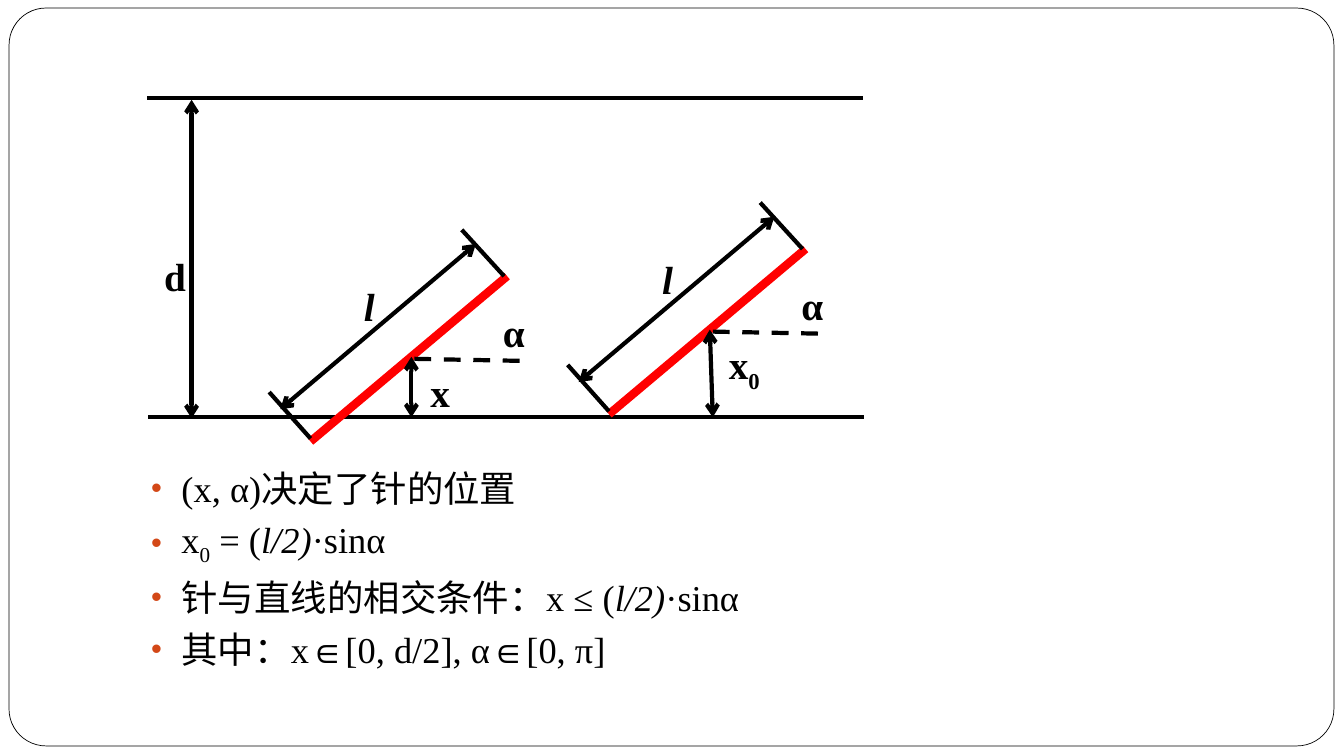
from dataclasses import dataclass

from lxml import etree
from pptx import Presentation
from pptx.dml.color import RGBColor
from pptx.enum.dml import MSO_LINE
from pptx.enum.shapes import MSO_CONNECTOR, MSO_SHAPE
from pptx.enum.text import MSO_AUTO_SIZE
from pptx.oxml.ns import qn
from pptx.util import Pt

PX = 9144  # EMU in one px, 100 px to the inch
DASH = MSO_LINE.DASH
STRAIGHT = MSO_CONNECTOR.STRAIGHT
ROUND = MSO_SHAPE.ROUNDED_RECTANGLE
FIXED = MSO_AUTO_SIZE.NONE
FLOOR = 414
BULLETS = [
    [("(x, α)决定了针的位置", "")],
    [("x", ""), ("0", "sub"), (" = (", ""), ("l/2)", "i"), ("·sinα", "")],
    [("针与直线的相交条件：x ≤ (", ""), ("l/2)", "i"), ("·sinα", "")],
    [("其中：x∈[0, d/2], α∈[0, π]", "")],
]


@dataclass(frozen=True)
class Theme:
    font: str = "Times New Roman"
    ink: RGBColor = RGBColor(0, 0, 0)
    paper: RGBColor = RGBColor(255, 255, 255)
    red: RGBColor = RGBColor(255, 0, 0)
    dot: str = "D34817"
    body: int = 26
    label: int = 28
    thin: float = 0.5
    line: int = 3
    thick: int = 6


class Board:
    def __init__(self, slide, theme):
        self.slide = slide
        self.shapes = slide.shapes
        self.theme = theme

    def frame(self, x, y, w, h):
        card = self.shapes.add_shape(ROUND, x * PX, y * PX, w * PX, h * PX)
        card.adjustments[0] = 0.05
        card.shadow.inherit = False
        card.fill.solid()
        card.fill.fore_color.rgb = self.theme.paper
        card.line.color.rgb = self.theme.ink
        card.line.width = Pt(self.theme.thin)
        self.shapes._spTree.insert(2, card._element)  # behind the text

    def line(self, start, end, color=None, width=None, dash=None, arrows=False):
        ends = [n * PX for n in (*start, *end)]
        item = self.shapes.add_connector(STRAIGHT, *ends)
        item.line.color.rgb = color or self.theme.ink
        item.line.width = Pt(width or self.theme.line)
        if dash:
            item.line.dash_style = dash
        props = item._element.spPr
        if arrows:
            for tag in ("a:headEnd", "a:tailEnd"):
                etree.SubElement(props.find(qn("a:ln")), qn(tag), type="arrow")
        etree.SubElement(props, qn("a:effectLst"))

    def fill(self, para, runs, size, bold=False):
        """Fill a paragraph from (text, mark) pairs; marks are i and sub."""
        font = para.font
        font.name, font.size, font.bold = self.theme.font, Pt(size), bold
        font.color.rgb = self.theme.ink
        for text, mark in runs:
            run = para.add_run()
            run.text = text
            if mark == "i":
                run.font.italic = True
            elif mark == "sub":
                run._r.get_or_add_rPr().set("baseline", "-25000")

    def label(self, x, y, *runs):
        box = self.shapes.add_textbox(x * PX, y * PX, 54 * PX, 57 * PX)
        box.text_frame.word_wrap = True
        self.fill(box.text_frame.paragraphs[0], runs, self.theme.label, True)

    def bullet(self, para):
        props = para._p.get_or_add_pPr()
        props.set("marL", str(30 * PX))
        props.set("indent", str(-30 * PX))
        tint = etree.SubElement(props, qn("a:buClr"))
        etree.SubElement(tint, qn("a:srgbClr"), val=self.theme.dot)
        etree.SubElement(props, qn("a:buSzPct"), val="85000")
        etree.SubElement(props, qn("a:buChar"), char="•")

    def body(self, x, y, w, h, items):
        self.shapes.title._element.getparent().remove(self.shapes.title._element)
        box = self.slide.placeholders[1]
        box.left, box.top, box.width, box.height = (n * PX for n in (x, y, w, h))
        text = box.text_frame
        text.auto_size = FIXED
        for row, runs in enumerate(items):
            para = text.add_paragraph() if row else text.paragraphs[0]
            para.space_before = Pt(5.8 if row else 0)
            self.bullet(para)
            self.fill(para, runs, self.theme.body)

    def needle(self, dx, dy, foot, *name):
        """Draw a needle with its length, angle and height, moved by dx, dy."""
        def at(x, y):
            return x + dx, y + dy

        self.line(at(308, 438), at(503, 274), self.theme.red, self.theme.thick)
        self.line(at(408, 354), (foot, FLOOR), arrows=True)
        self.line(at(458, 228), at(500, 274))
        self.line(at(267, 389), at(308, 435))
        self.line(at(278, 406), at(472, 242), arrows=True)
        self.line(at(411, 356), at(516, 358), dash=DASH)
        self.label(*at(351, 275), ("l", "i"))
        self.label(*at(417, 360), *name)
        self.label(*at(489, 301), ("α", ""))


def main():
    deck = Presentation()
    deck.slide_width, deck.slide_height = 1333 * PX, 750 * PX
    board = Board(deck.slides.add_slide(deck.slide_layouts[1]), Theme())
    board.frame(9, 8, 1314, 732)
    board.body(140, 457, 1133, 239, BULLETS)
    board.line((147, FLOOR), (857, FLOOR))
    board.line((146, 97), (856, 97))
    board.line((190, 415), (190, 99), arrows=True)
    board.label(153, 245, ("d", ""))
    board.needle(0, 0, 408, ("x", ""))
    board.needle(296, -27, 707, ("x", ""), ("0", "sub"))
    deck.save("out.pptx")


if __name__ == "__main__":
    main()
